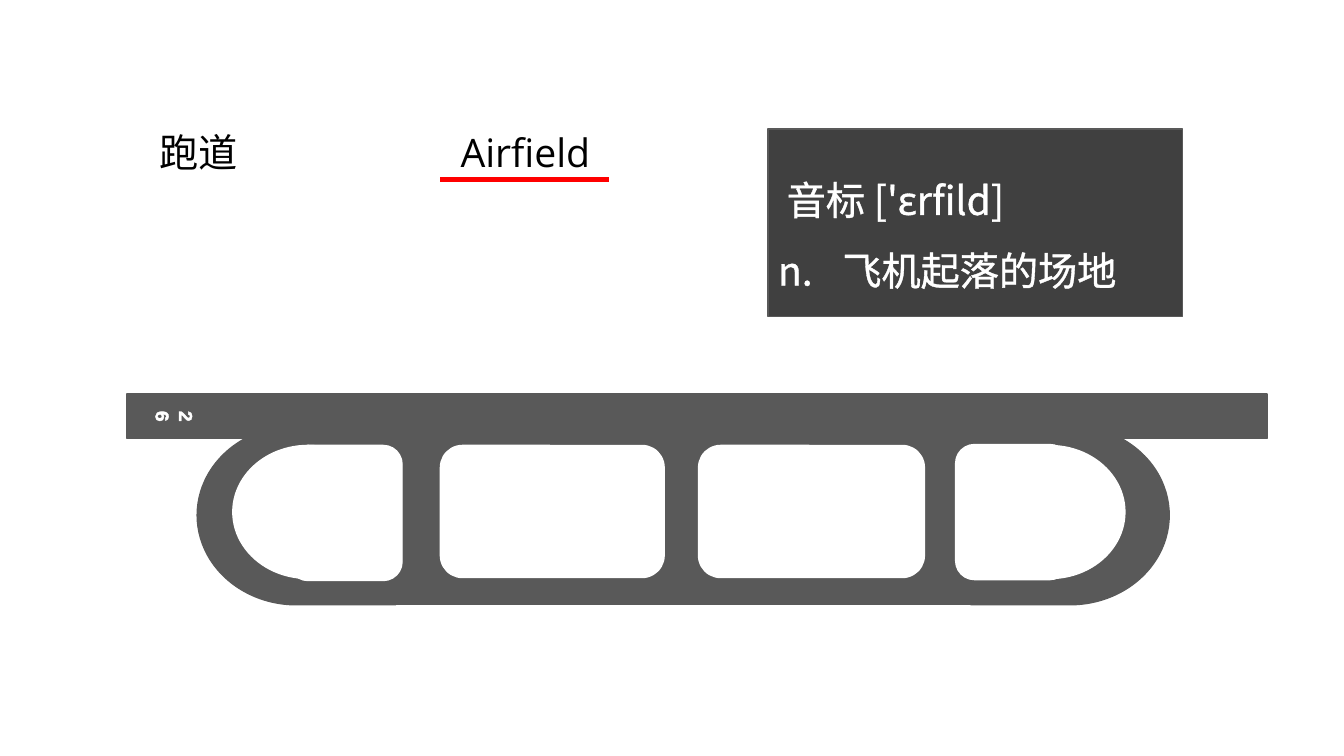
from lxml.etree import SubElement
from pptx import Presentation
from pptx.dml.color import RGBColor
from pptx.enum.shapes import MSO_CONNECTOR, MSO_SHAPE
from pptx.enum.text import MSO_ANCHOR, PP_ALIGN
from pptx.oxml.ns import qn
from pptx.util import Pt

SANS, CJK, MONO = "Open Sans", "Noto Sans CJK TC", "Courier New"
TAR, CARD, WHITE, BLACK, RED = "595959", "404040", "FFFFFF", "000000", "FF0000"


def paint(target, color):
    if hasattr(target, "solid"):
        target.solid()
        target = target.fore_color
    target.rgb = RGBColor.from_string(color)


class Board:
    size = 28

    def __init__(self, deck):
        self.slide = deck.slides.add_slide(deck.slide_layouts[5])
        self.shapes = self.slide.shapes
        self.group = self.shapes.add_group_shape().shapes

    def word(self, para, text, font, color=BLACK, size=size, bold=False, edge=0):
        run = para.add_run()
        run.text = text
        run.font.name, run.font.size, run.font.bold = font, Pt(size), bold
        if edge:
            line = SubElement(run.font._element, qn("a:ln"), w=str(Pt(edge)))
            fill = SubElement(line, qn("a:solidFill"))
            SubElement(fill, qn("a:srgbClr"), val=color)
            run.font._element.insert(0, line)
        paint(run.font.fill, color)

    def frame(self, box, anchor):
        frame = box.text_frame
        frame.word_wrap = True
        frame.vertical_anchor = anchor
        return frame

    def label(self, box, text):
        para = self.frame(box, MSO_ANCHOR.TOP).paragraphs[0]
        para.alignment = PP_ALIGN.LEFT
        self.word(para, text, SANS)

    def text(self, x, y, w, h, text):
        self.label(self.shapes.add_textbox(Pt(x), Pt(y), Pt(w), Pt(h)), text)

    def title(self, x, y, w, h, text):
        box = self.shapes.title
        box.left, box.top, box.width, box.height = Pt(x), Pt(y), Pt(w), Pt(h)
        self.label(box, text)

    def shape(self, home, kind, x, y, w, h, fill=None, edge=TAR, turn=0, width=1):
        item = home.add_shape(kind, Pt(x), Pt(y), Pt(w), Pt(h))
        item.shadow.inherit = False
        item.rotation = turn
        if fill:
            paint(item.fill, fill)
        else:
            item.fill.background()
        paint(item.line.fill, edge)
        item.line.width = Pt(width)
        return item

    def tar(self, kind, x, y, w, h, turn=0):
        self.shape(self.group, kind, x, y, w, h, TAR, TAR, turn)

    def gap(self, kind, x, y, w, h, turn=0):
        self.shape(self.group, kind, x, y, w, h, WHITE, WHITE, turn)

    def number(self, x, y, w, h, text):
        item = self.shape(self.group, MSO_SHAPE.RECTANGLE, x, y, w, h, turn=90, width=0.75)
        para = self.frame(item, MSO_ANCHOR.TOP).paragraphs[0]
        para.alignment = PP_ALIGN.CENTER
        self.word(para, text, MONO, WHITE, 14, True, 0.8)

    def rule(self, x, y, end, color, width):
        line = self.shapes.add_connector(MSO_CONNECTOR.STRAIGHT, Pt(x), Pt(y), Pt(end), Pt(y))
        paint(line.line.fill, color)
        line.line.width = Pt(width)
        SubElement(line._element.spPr, qn("a:effectLst"))

    def card(self, x, y, w, h, rows, tab):
        item = self.shape(self.shapes, MSO_SHAPE.RECTANGLE, x, y, w, h, CARD)
        frame = self.frame(item, MSO_ANCHOR.MIDDLE)
        for i, row in enumerate(rows):
            para = frame.add_paragraph() if i else frame.paragraphs[0]
            para.alignment = PP_ALIGN.LEFT
            para.line_spacing = 1.5
            stops = SubElement(para._p.get_or_add_pPr(), qn("a:tabLst"))
            SubElement(stops, qn("a:tab"), pos=str(Pt(tab)), algn="l")
            for text, font in row:
                self.word(para, text, font, WHITE, edge=0.75)


def main():
    deck = Presentation()
    deck.slide_width, deck.slide_height = Pt(960), Pt(540)
    board = Board(deck)
    board.text(106.6, 87.8, 138.2, 41, "跑道")
    board.title(321.8, 87.8, 282.2, 41, "Airfield")

    top, high, cap = 304, 128, 141.8
    left, right = 282.6, 693.4
    board.tar(MSO_SHAPE.FLOWCHART_DELAY, right, top, cap, high)
    board.tar(MSO_SHAPE.RECTANGLE, left, top, right - left, high)
    board.tar(MSO_SHAPE.FLOWCHART_DELAY, left - cap, top, cap, high, 180)
    board.tar(MSO_SHAPE.RECTANGLE, 90.7, 281.5, 814.3, 31.7)
    board.number(118.1, 285.1, 30.2, 24.5, "26")

    top = 318.2
    for x, wide in ((499, 161.3), (314.6, 159.8)):
        board.gap(MSO_SHAPE.ROUNDED_RECTANGLE, x, top, wide, 94.3)
    for bow, x, y, turn in ((166.3, 206.6, top, 0), (696.2, 682.6, 317.5, 180)):
        board.gap(MSO_SHAPE.OVAL, bow, top, 107.3, 95, turn)
        board.gap(MSO_SHAPE.ROUNDED_RECTANGLE, x, y, 80.6, 96.5, turn)

    board.rule(314.6, 128.2, 434.9, RED, 3)
    board.card(548.6, 92.2, 295.9, 133.9, (
        ((" 音标 ", SANS), ("['ɛrfild]", CJK)),
        (("n.\t", CJK), ("飞机起落的场地", SANS)),
    ), 46)
    deck.save("out.pptx")


if __name__ == "__main__":
    main()
